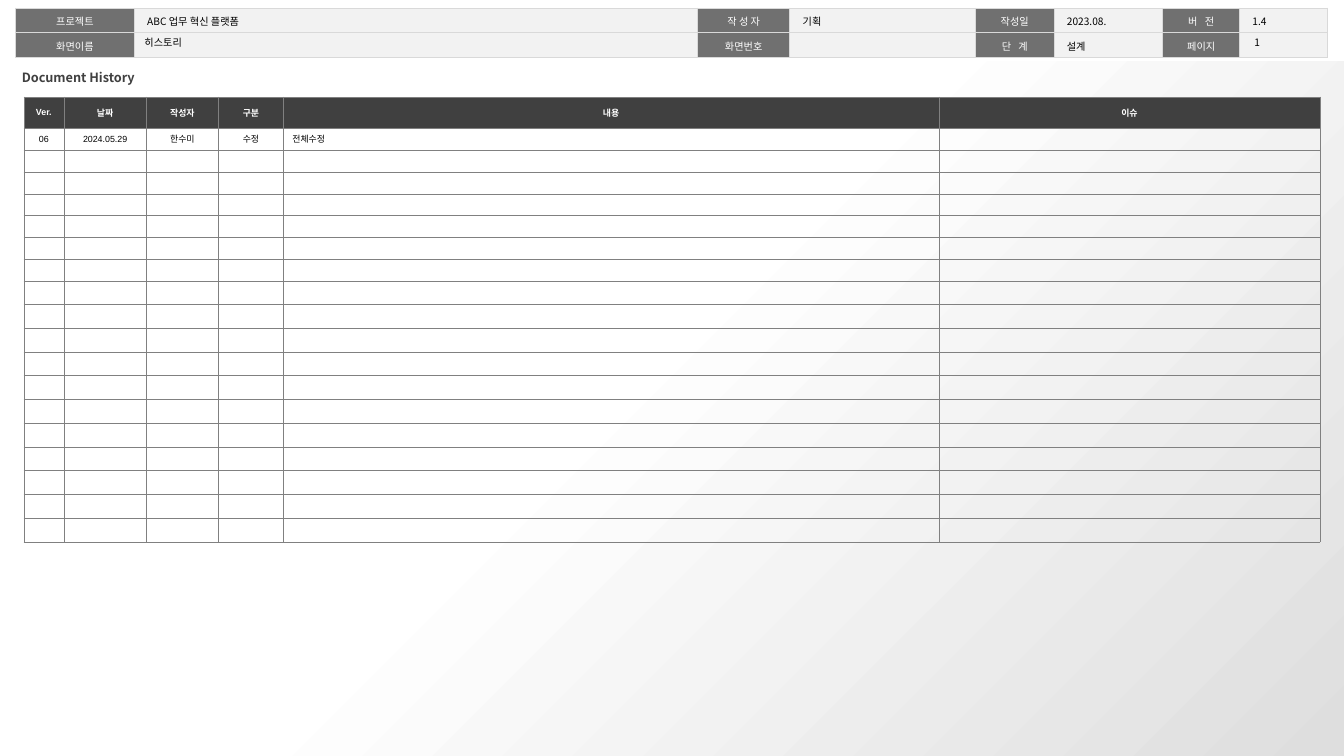
import dataclasses
import lxml.etree
import pptx
import pptx.dml.color
import pptx.enum.shapes
import pptx.enum.text
import pptx.oxml.ns
import pptx.util

Inches = pptx.util.Inches
ALIGN = pptx.enum.text.PP_ALIGN
ANCHOR = pptx.enum.text.MSO_ANCHOR


@dataclasses.dataclass(frozen=True)
class Theme:
    sans: str = "Noto Sans CJK KR"
    latin: str = "Arial"
    white: str = "FFFFFF"
    black: str = "000000"
    label: str = "707070"
    value: str = "F2F2F2"
    edge: str = "D9D9D9"
    dark: str = "404040"
    rule: str = "808080"
    shade: str = "DEDEDE"
    head: float = 10
    body: float = 8
    small: float = 7


def rgb(code):
    return pptx.dml.color.RGBColor.from_string(code)


def add_tag(parent, name, **attrs):
    return lxml.etree.SubElement(parent, pptx.oxml.ns.qn(name), attrs)


def write(frame, text, *, size, color, font, asian, bold=False,
          align=ALIGN.LEFT, line=None, spread=0):
    """Fill a frame with one paragraph; spread is letter spacing in points."""
    para = frame.paragraphs[0]
    para.alignment = align
    if line:
        para.line_spacing = line
    if not text:
        add_tag(para._p, "a:endParaRPr", sz=str(int(size * 100)))
        return
    run = para.add_run()
    run.text = text
    run.font.size = pptx.util.Pt(size)
    run.font.bold = bold
    run.font.color.rgb = rgb(color)
    run.font.name = font
    props = run._r.get_or_add_rPr()
    add_tag(props, "a:ea", typeface=asian)
    if spread:
        props.set("spc", str(int(spread * 100)))


class Page:
    def __init__(self, slide, theme):
        self.slide = slide
        self.theme = theme

    def text(self, text, box, inset=(0.1, 0.05), anchor=ANCHOR.MIDDLE,
             wrap=True, **style):
        frame = self.slide.shapes.add_textbox(*map(Inches, box)).text_frame
        frame.word_wrap = wrap
        frame.vertical_anchor = anchor
        frame.margin_left = frame.margin_right = Inches(inset[0])
        frame.margin_top = frame.margin_bottom = Inches(inset[1])
        write(frame, text, font=self.theme.sans, asian=self.theme.sans, **style)

    def backdrop(self, box):
        shape = self.slide.shapes.add_shape(
            pptx.enum.shapes.MSO_SHAPE.RECTANGLE, *map(Inches, box))
        shape.shadow.inherit = False
        shape.line.fill.background()
        shape.fill.gradient()
        shape.fill.gradient_angle = 315
        stops = ((0.45, self.theme.white), (1, self.theme.shade))
        for stop, (place, color) in zip(shape.fill.gradient_stops, stops):
            stop.position = place
            stop.color.rgb = rgb(color)

    def table(self, left, top, cols, rows):
        grid = self.slide.shapes.add_table(
            len(rows), len(cols), Inches(left), Inches(top),
            Inches(sum(cols)), Inches(sum(rows))).table
        grid.first_row = grid.horz_banding = False
        for col, width in zip(grid.columns, cols):
            col.width = Inches(width)
        for row, height in zip(grid.rows, rows):
            row.height = Inches(height)
        return grid

    def cell(self, cell, text, *, fill, edge, weight, inset, anchor, **style):
        props = cell._tc.get_or_add_tcPr()
        for side in "LRTB":
            line = add_tag(props, f"a:ln{side}", w=str(int(weight * 12700)))
            solid = add_tag(line, "a:solidFill")
            add_tag(solid, "a:srgbClr", val=edge)
        if fill:
            cell.fill.solid()
            cell.fill.fore_color.rgb = rgb(fill)
        else:
            cell.fill.background()
        cell.margin_left = cell.margin_right = Inches(inset[0])
        cell.margin_top = cell.margin_bottom = Inches(inset[1])
        cell.vertical_anchor = anchor
        write(cell.text_frame, text, asian=self.theme.sans, **style)

    def banner(self, lines):
        """Draw the project strip, whose labels and values alternate."""
        look = self.theme
        cols = [1.3, 6.16, 1.01, 2.03, 0.86, 1.19, 0.84, 0.96]
        grid = self.table(0.17, 0.09, cols, [0.27] * len(lines))
        for r, line in enumerate(lines):
            for c, text in enumerate(line):
                label = c % 2 == 0
                self.cell(
                    grid.cell(r, c), text, edge=look.edge, weight=1,
                    fill=look.label if label else look.value,
                    inset=(0.14, 0.05), anchor=ANCHOR.TOP,
                    size=look.body, font=look.sans, line=1.05,
                    color=look.white if label else look.black,
                    align=ALIGN.CENTER if label else ALIGN.LEFT,
                    spread=2 if text in ("버 전", "단 계") else 0)

    def history(self, heads, entry):
        look = self.theme
        cols = [0.44, 0.9, 0.79, 0.71, 7.17, 4.17]
        rows = [0.34] + [0.24] * 7 + [0.25] + [0.26] * 10
        grid = self.table(0.26, 1.06, cols, rows)
        lines = [heads, entry] + [[""] * len(cols)] * (len(rows) - 2)
        for r, line in enumerate(lines):
            for c, text in enumerate(line):
                head = r == 0
                self.cell(
                    grid.cell(r, c), text, edge=look.rule, weight=0.25,
                    fill=look.dark if head else None,
                    inset=(0.1, 0.04), anchor=ANCHOR.MIDDLE,
                    size=look.small, font=look.latin, bold=head,
                    color=look.white if head else look.black,
                    align=ALIGN.CENTER if head or c < 4 else ALIGN.LEFT)


def main():
    deck = pptx.Presentation()
    deck.slide_width = Inches(14.7)
    deck.slide_height = Inches(8.27)
    look = Theme()
    page = Page(deck.slides.add_slide(deck.slide_layouts[6]), look)

    page.banner([
        ["프로젝트", "ABC 업무 혁신 플랫폼", "작 성 자", "기획",
         "작성일", "2023.08.", "버 전", "1.4"],
        ["화면이름", "", "화면번호", "", "단 계", "설계", "페이지", ""],
    ])
    page.backdrop((0, 0.67, 14.7, 7.6))
    page.text("1", (13.62, 0.38, 0.72, 0.16),
              size=look.body, color=look.black)
    page.text("히스토리", (1.47, 0.38, 5.42, 0.16), inset=(0.11, 0.05),
              size=look.body, color=look.black)
    page.history(["Ver.", "날짜", "작성자", "구분", "내용", "이슈"],
                 ["06", "2024.05.29", "한수미", "수정", "전체수정", ""])
    page.text("Document History", (0.14, 0.72, 1.45, 0.27),
              anchor=ANCHOR.TOP, wrap=False,
              size=look.head, color=look.dark, bold=True)
    deck.save("out.pptx")


if __name__ == "__main__":
    main()
